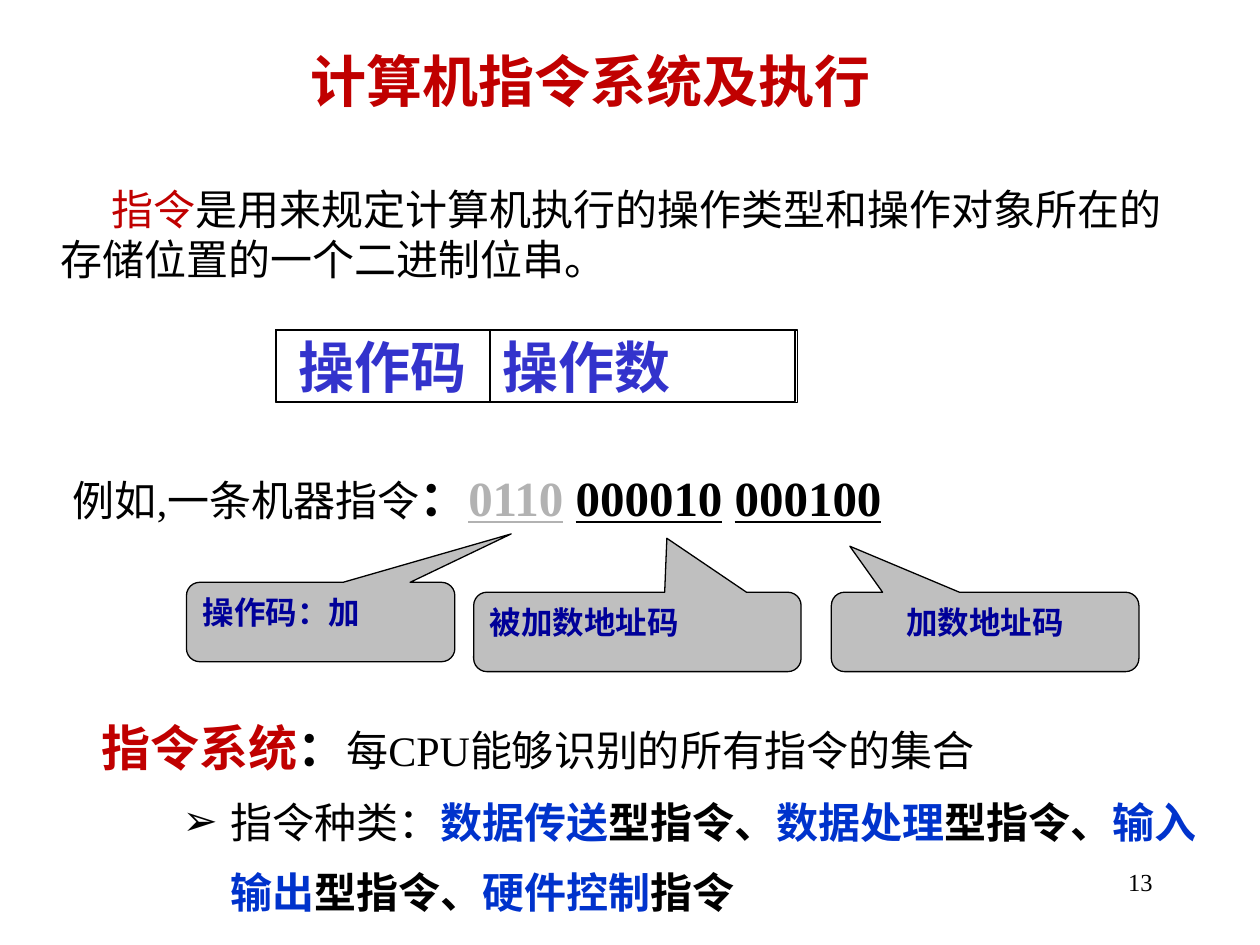
from typing import NamedTuple

from lxml.etree import SubElement
from pptx import Presentation
from pptx.dml.color import RGBColor
from pptx.enum.shapes import MSO_SHAPE as Preset
from pptx.enum.text import MSO_ANCHOR as Anchor, MSO_AUTO_SIZE as AutoSize, PP_ALIGN as Align
from pptx.oxml.ns import qn
from pptx.util import Cm, Pt

COLORS = {
    "black": "000000", "red": "C00000", "field": "3333CC", "note": "000099",
    "kind": "0033CC", "opcode": "B2B2B2", "callout": "BFBFBF",
}
FONT = "Times New Roman"
PLAIN = {"size": Pt(24), "bold": False}
STRONG = {"size": Pt(28), "bold": True}
KIND = {"size": Pt(24), "bold": True}
HEADING = {"size": Pt(32), "bold": True}
NOTE = {"size": Pt(18), "bold": True}


class Box(NamedTuple):
    """Left, top, width and height in centimetres."""
    left: float
    top: float
    width: float
    height: float


class Part(NamedTuple):
    text: str
    format: dict
    color: str = "black"


class Field(NamedTuple):
    label: str
    box: Box
    align: Align


class Callout(NamedTuple):
    label: str
    box: Box
    tip: tuple[float, float]
    align: Align = Align.LEFT


def rgb(name: str) -> RGBColor:
    return RGBColor.from_string(COLORS[name])


def set_format(target, values: dict) -> None:
    for attribute, value in values.items():
        setattr(target, attribute, value)


def place(shape, box: Box) -> None:
    set_format(shape, {side: Cm(value) for side, value in box._asdict().items()})


def prepare_frame(shape, anchor: Anchor = Anchor.TOP, top_inset: float = 0.13):
    frame = shape.text_frame
    set_format(frame, {
        "word_wrap": True, "auto_size": AutoSize.NONE, "vertical_anchor": anchor,
        "margin_left": Cm(0.25), "margin_right": Cm(0.25),
        "margin_top": Cm(top_inset), "margin_bottom": Cm(0.13),
    })
    return frame


def set_indent(paragraph, margin: float, first_line: float, bullet: str = "") -> None:
    properties = paragraph._p.get_or_add_pPr()
    properties.set("marL", str(Cm(margin)))
    properties.set("indent", str(Cm(first_line)))
    if bullet:
        color = SubElement(properties, qn("a:buClr"))
        SubElement(color, qn("a:srgbClr"), val=COLORS["black"])
        SubElement(properties, qn("a:buChar"), char=bullet)
    else:
        SubElement(properties, qn("a:buNone"))


def write(paragraph, parts: list[Part], align: Align = Align.LEFT) -> None:
    set_format(paragraph, {"alignment": align, "space_before": Pt(0)})
    for part in parts:
        run = paragraph.add_run()
        run.text = part.text
        set_format(run.font, {"name": FONT, **part.format})
        run.font.color.rgb = rgb(part.color)


def add_text(slide, box: Box, parts: list[Part], first_line: float = 0,
             align: Align = Align.LEFT, top_inset: float = 0.13) -> None:
    shape = slide.shapes.add_textbox(*map(Cm, box))
    paragraph = prepare_frame(shape, top_inset=top_inset).paragraphs[0]
    set_indent(paragraph, 0, first_line)
    write(paragraph, parts, align)


def add_outlined(slide, preset: Preset, box: Box, line_width: float = 0.75, fill: str = ""):
    shape = slide.shapes.add_shape(preset, *map(Cm, box))
    shape.shadow.inherit = False
    if fill:
        shape.fill.solid()
        shape.fill.fore_color.rgb = rgb(fill)
    else:
        shape.fill.background()
    shape.line.color.rgb = rgb("black")
    shape.line.width = Pt(line_width)
    return shape


def add_field(slide, field: Field) -> None:
    shape = add_outlined(slide, Preset.RECTANGLE, field.box)
    frame = prepare_frame(shape, Anchor.MIDDLE)
    write(frame.paragraphs[0], [Part(field.label, HEADING, "field")], field.align)


def add_callout(slide, callout: Callout) -> None:
    shape = add_outlined(slide, Preset.ROUNDED_RECTANGULAR_CALLOUT, callout.box, fill="callout")
    for index, value in enumerate(callout.tip):
        shape.adjustments[index] = value
    paragraph = prepare_frame(shape).paragraphs[0]
    write(paragraph, [Part(callout.label, NOTE, "note")], callout.align)


FIELDS = [
    Field("操作码", Box(5.56, 6.65, 4.32, 1.45), Align.CENTER),
    Field("操作数", Box(9.88, 6.65, 6.15, 1.45), Align.LEFT),
]
CALLOUTS = [
    Callout("操作码：加", Box(3.76, 11.74, 5.41, 1.6), (0.71, -1.11)),
    Callout("被加数地址码", Box(9.55, 11.94, 6.6, 1.6), (0.09, -1.18)),
    Callout("加数地址码", Box(16.76, 11.94, 6.2, 1.6), (-0.44, -1.08), Align.CENTER),
]
INSTRUCTION_KINDS = [
    ("数据传送", "型指令、"), ("数据处理", "型指令、"),
    ("输入输出", "型指令、"), ("硬件控制", "指令"),
]


def main() -> None:
    deck = Presentation()
    deck.slide_width, deck.slide_height = Cm(25.4), Cm(19.05)
    slide = deck.slides.add_slide(deck.slide_layouts[1])
    title, body = slide.placeholders

    place(title, Box(1.12, 0.81, 21.59, 2.54))
    write(prepare_frame(title).paragraphs[0],
          [Part("计算机指令系统及执行", HEADING, "red")], Align.CENTER)

    add_text(slide, Box(0.97, 3.28, 23.44, 2.64), [
        Part("指令", PLAIN, "red"),
        Part("是用来规定计算机执行的操作类型和操作对象所在的存储位置的一个二进制位串。", PLAIN),
    ], first_line=1.02, top_inset=0.42)

    for field in FIELDS:
        add_field(slide, field)
    add_outlined(slide, Preset.RECTANGLE, Box(5.56, 6.65, 10.52, 1.47), 0.88)

    underlined = {**STRONG, "underline": True}
    add_text(slide, Box(0.97, 9.3, 24.1, 1.45), [
        Part("例如,一条机器指令", PLAIN), Part("：", STRONG),
        Part("0110", underlined, "opcode"), Part(" ", STRONG),
        Part("000010", underlined), Part(" ", STRONG), Part("000100", underlined),
    ], first_line=0.25)
    for callout in CALLOUTS:
        add_callout(slide, callout)

    place(body, Box(0.89, 14.33, 23.93, 4.29))
    frame = prepare_frame(body)
    definition, kinds = frame.paragraphs[0], frame.add_paragraph()
    set_indent(definition, 0, 0.91)
    write(definition, [
        Part("指令系统", STRONG, "red"), Part("：", STRONG),
        Part("每CPU能够识别的所有指令的集合", PLAIN),
    ])
    kinds.level = 1
    set_indent(kinds, 3.5, -0.96, "➢")
    kinds.line_spacing = 1.4
    kind_parts = [Part("指令种类：", PLAIN)]
    for kind, suffix in INSTRUCTION_KINDS:
        kind_parts += [Part(kind, KIND, "kind"), Part(suffix, KIND)]
    write(kinds, kind_parts)

    add_text(slide, Box(18.21, 17.35, 5.28, 1.27),
             [Part("13", {"size": Pt(14)})], align=Align.RIGHT)
    deck.save("out.pptx")


if __name__ == "__main__":
    main()
